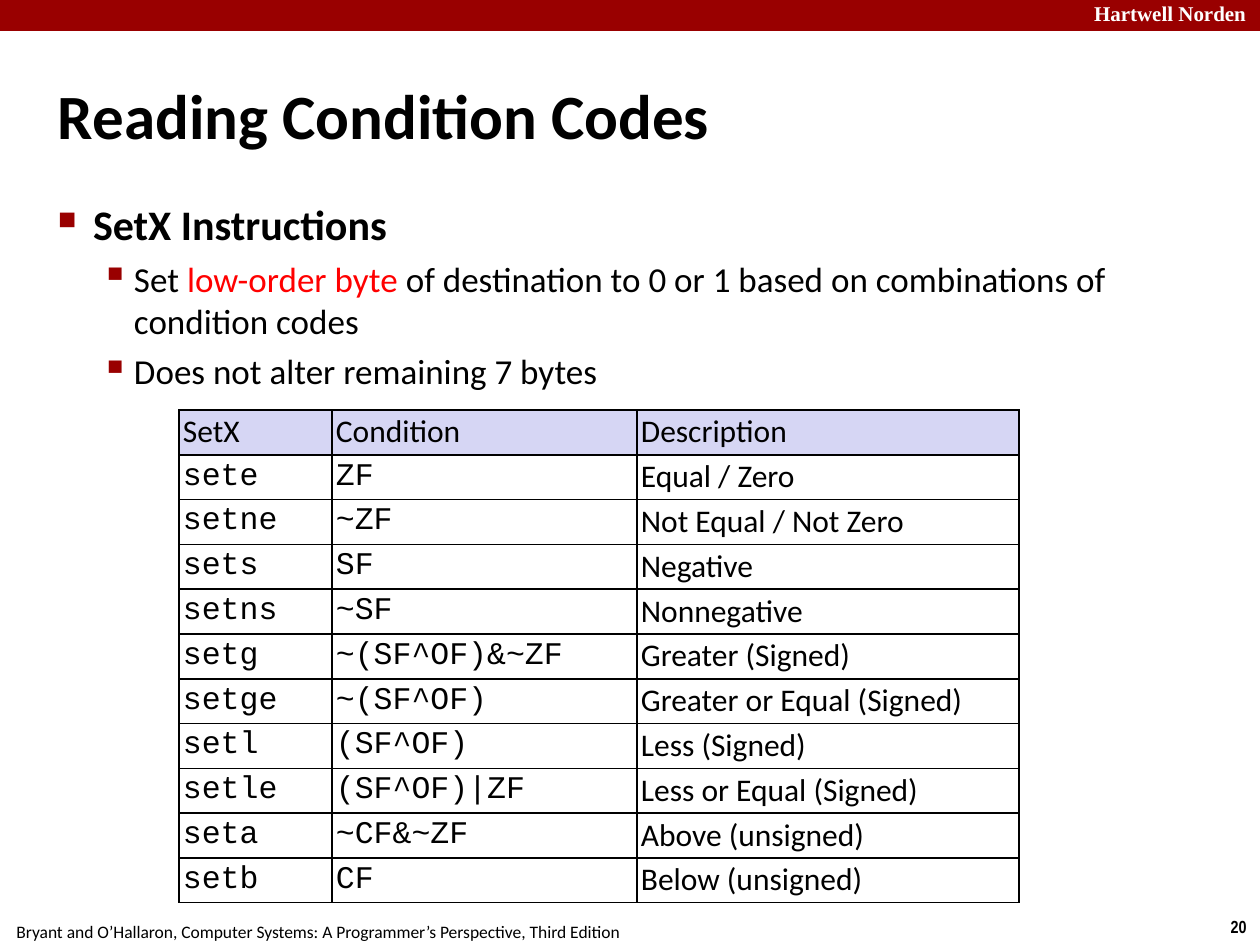
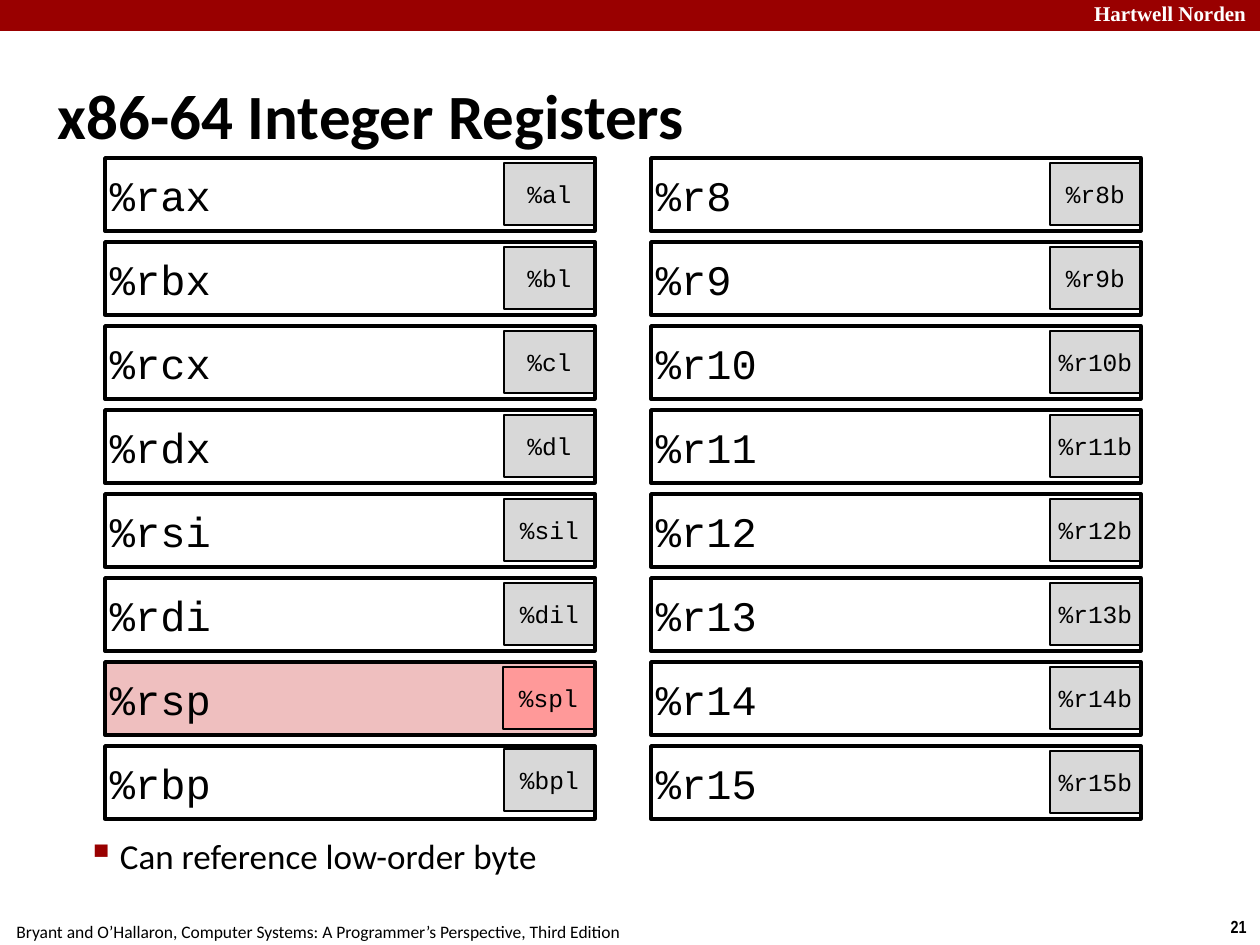
from lxml.etree import SubElement
from pptx import Presentation
from pptx.dml.color import RGBColor
from pptx.enum.shapes import MSO_SHAPE
from pptx.enum.text import MSO_ANCHOR, PP_ALIGN
from pptx.oxml.ns import qn
from pptx.util import Pt

EMU_PER_PX = 914400 / 126
COLORS = {
    "text": "000000",
    "white": "FFFFFF",
    "brand": "990000",
    "accent": "FF0000",
    "header": "D6D6F4",
    "byte": "D8D8D8",
    "stack": "EFBFBF",
    "stack_byte": "FF9999",
}
SANS, MONO = "Calibri", "Courier New"
INSET = 5
BULLETS = {
    0: {"char": "■", "percent": 60, "size": 24, "before": 6, "bold": True},
    1: {"char": "▪", "percent": 110, "size": 20, "before": 5, "bold": False},
}
FOOTER = "Bryant and O’Hallaron, Computer Systems: A Programmer’s Perspective, Third Edition"

CONDITIONS = [
    ("SetX", "Condition", "Description"),
    ("sete", "ZF", "Equal / Zero"),
    ("setne", "~ZF", "Not Equal / Not Zero"),
    ("sets", "SF", "Negative"),
    ("setns", "~SF", "Nonnegative"),
    ("setg", "~(SF^OF)&~ZF", "Greater (Signed)"),
    ("setge", "~(SF^OF)", "Greater or Equal (Signed)"),
    ("setl", "(SF^OF)", "Less (Signed)"),
    ("setle", "(SF^OF)|ZF", "Less or Equal (Signed)"),
    ("seta", "~CF&~ZF", "Above (unsigned)"),
    ("setb", "CF", "Below (unsigned)"),
]
REGISTER_COLUMNS = [
    (105, [("%rax", "%al"), ("%rbx", "%bl"), ("%rcx", "%cl"), ("%rdx", "%dl"),
           ("%rsi", "%sil"), ("%rdi", "%dil"), ("%rsp", "%spl"), ("%rbp", "%bpl")]),
    (651, [(f"%r{number}", f"%r{number}b") for number in range(8, 16)]),
]


def px(length):
    return round(length * EMU_PER_PX)


def rgb(name):
    return RGBColor.from_string(COLORS[name])


class Deck:
    def __init__(self):
        self.presentation = Presentation()
        self.presentation.slide_width = px(1260)
        self.presentation.slide_height = px(945)
        self.slide = None

    def add_slide(self, title, number):
        self.slide = self.presentation.slides.add_slide(self.presentation.slide_layouts[6])
        self.text((1217, 910, 43, 34), str(number), 10, "Arial Narrow", bold=True,
                  align=PP_ALIGN.CENTER, wrap=False)
        self.text((-2, 914, 640, 34), FOOTER, 10, align=PP_ALIGN.CENTER, wrap=False)
        self.box((0, 0, 1261, 31), "brand")
        self.text((1089, -4, 181, 35), "Hartwell Norden", 12, "Times New Roman",
                  "white", bold=True, anchor=MSO_ANCHOR.TOP)
        self.text((53, 35, 1155, 158), title, 36, bold=True)

    def style(self, paragraph, size, font=SANS, color="text", bold=False, align=PP_ALIGN.LEFT):
        paragraph.alignment = align
        paragraph.font.size = Pt(size)
        paragraph.font.name = font
        paragraph.font.bold = bold
        paragraph.font.color.rgb = rgb(color)

    def frame(self, shape, anchor=MSO_ANCHOR.MIDDLE, wrap=True):
        frame = shape.text_frame
        frame.word_wrap = wrap
        frame.vertical_anchor = anchor
        frame.margin_left = frame.margin_right = px(INSET)
        frame.margin_top = frame.margin_bottom = px(INSET)
        return frame

    def text(self, bounds, words, size, font=SANS, color="text", bold=False,
             align=PP_ALIGN.LEFT, anchor=MSO_ANCHOR.MIDDLE, wrap=True):
        shape = self.slide.shapes.add_textbox(*map(px, bounds))
        frame = self.frame(shape, anchor, wrap)
        frame.text = words
        self.style(frame.paragraphs[0], size, font, color, bold, align)

    def box(self, bounds, fill=None, line=None, words="", size=14, align=PP_ALIGN.LEFT):
        shape = self.slide.shapes.add_shape(MSO_SHAPE.RECTANGLE, *map(px, bounds))
        shape.shadow.inherit = False
        if fill:
            shape.fill.solid()
            shape.fill.fore_color.rgb = rgb(fill)
        else:
            shape.fill.background()
        if line:
            shape.line.color.rgb = rgb("text")
            shape.line.width = Pt(line)
        else:
            shape.line.fill.background()
        if words:
            frame = self.frame(shape)
            frame.text = words
            self.style(frame.paragraphs[0], size, MONO, align=align)

    def bullets(self, bounds, items):
        shape = self.slide.shapes.add_textbox(*map(px, bounds))
        frame = self.frame(shape, MSO_ANCHOR.TOP)
        for index, (level, left, hanging, runs) in enumerate(items):
            paragraph = frame.add_paragraph() if index else frame.paragraphs[0]
            bullet = BULLETS[level]
            paragraph.level = level
            paragraph.space_before = Pt(bullet["before"])
            properties = paragraph._p.get_or_add_pPr()
            properties.set("marL", str(px(left)))
            properties.set("indent", str(px(-hanging)))
            bullet_color = SubElement(properties, qn("a:buClr"))
            SubElement(bullet_color, qn("a:srgbClr"), val=COLORS["brand"])
            SubElement(properties, qn("a:buSzPct"), val=str(bullet["percent"] * 1000))
            SubElement(properties, qn("a:buChar"), char=bullet["char"])
            self.style(paragraph, bullet["size"], bold=bullet["bold"])
            for words, color in runs:
                run = paragraph.add_run()
                run.text = words
                if color != "text":
                    run.font.color.rgb = rgb(color)

    def table(self, left, top, widths, row_height, rows):
        shape = self.slide.shapes.add_table(
            len(rows), len(widths), px(left), px(top), px(sum(widths)), px(row_height * len(rows)))
        table = shape.table
        table.first_row = table.horz_banding = False
        for column, width in zip(table.columns, widths):
            column.width = px(width)
        for row_index, row in enumerate(rows):
            for column_index, words in enumerate(row):
                cell = table.cell(row_index, column_index)
                is_code = row_index > 0 and column_index < 2
                cell.text = words
                self.style(cell.text_frame.paragraphs[0], 18, MONO if is_code else SANS)
                cell.vertical_anchor = MSO_ANCHOR.MIDDLE
                cell.margin_left = cell.margin_right = cell.margin_bottom = px(4)
                cell.margin_top = px(3)
                self.borders(cell)
                if row_index == 0:
                    cell.fill.solid()
                    cell.fill.fore_color.rgb = rgb("header")
                else:
                    cell.fill.background()

    def borders(self, cell):
        properties = cell._tc.get_or_add_tcPr()
        for side in ("lnL", "lnR", "lnT", "lnB"):
            line = SubElement(properties, qn(f"a:{side}"), w=str(Pt(1)))
            fill = SubElement(line, qn("a:solidFill"))
            SubElement(fill, qn("a:srgbClr"), val=COLORS["text"])

    def register(self, left, top, name, low_byte):
        is_stack = name == "%rsp"
        register = ((left, top, 490, 73), "stack" if is_stack else None, 2, name, 24)
        byte_left = left + (398 if is_stack else 399)
        byte_top = top + (3 if name == "%rbp" else 5)
        byte = ((byte_left, byte_top, 91, 62), "stack_byte" if is_stack else "byte",
                1 if is_stack else 0.75, low_byte, 14, PP_ALIGN.CENTER)
        for box in (register, byte) if is_stack else (byte, register):
            self.box(*box)


def main():
    deck = Deck()

    deck.add_slide("Reading Condition Codes", 20)
    deck.bullets((53, 193, 1155, 748), [
        (0, 35, 35, [("SetX Instructions", "text")]),
        (1, 76, 33, [
            ("Set ", "text"),
            ("low-order byte ", "accent"),
            ("of destination to 0 or 1 based on combinations of condition codes", "text"),
        ]),
        (1, 76, 33, [("Does not alter remaining 7 bytes", "text")]),
    ])
    deck.table(179, 410, (153, 305, 382), 43, CONDITIONS)

    deck.add_slide("x86-64 Integer Registers", 21)
    deck.bullets((44, 829, 1011, 116), [
        (1, 71, 33, [("Can reference low-order byte", "text")]),
    ])
    for left, registers in REGISTER_COLUMNS:
        for index, (name, low_byte) in enumerate(registers):
            deck.register(left, 158 + 84 * index, name, low_byte)

    deck.presentation.save("out.pptx")


if __name__ == "__main__":
    main()
